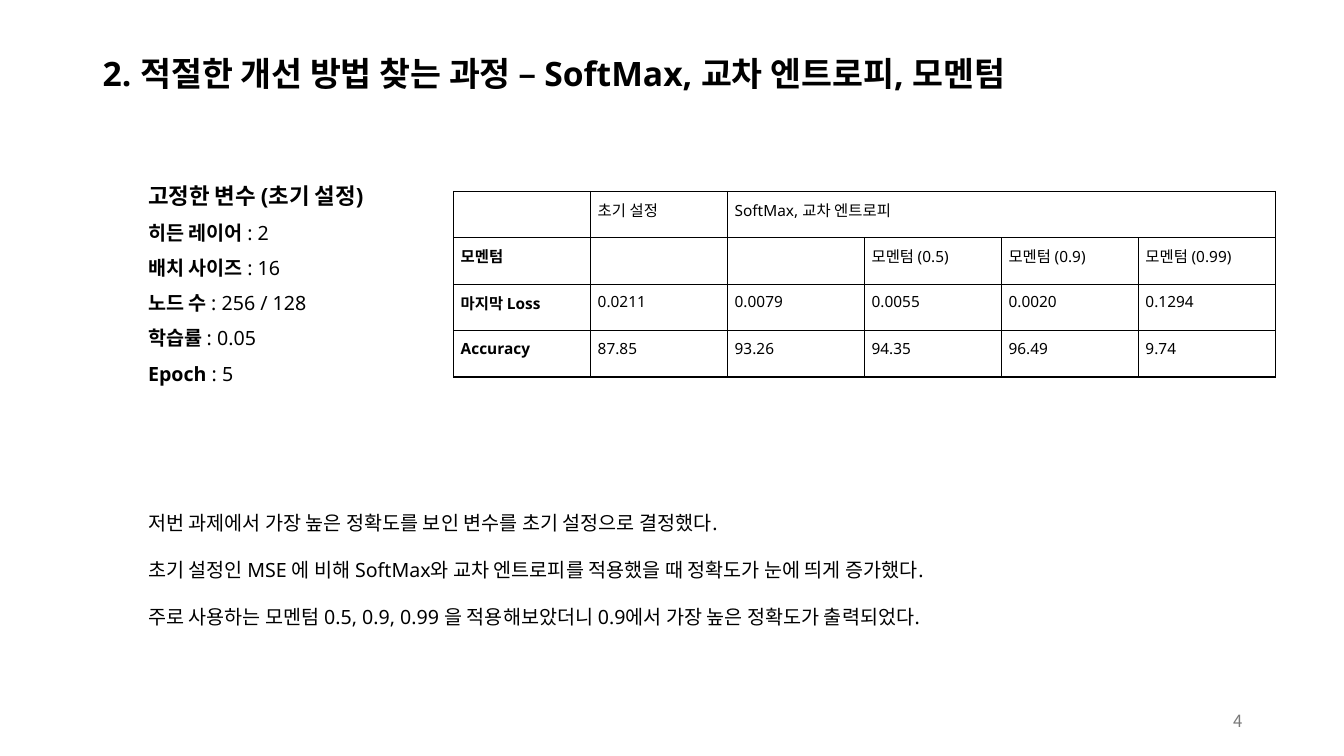
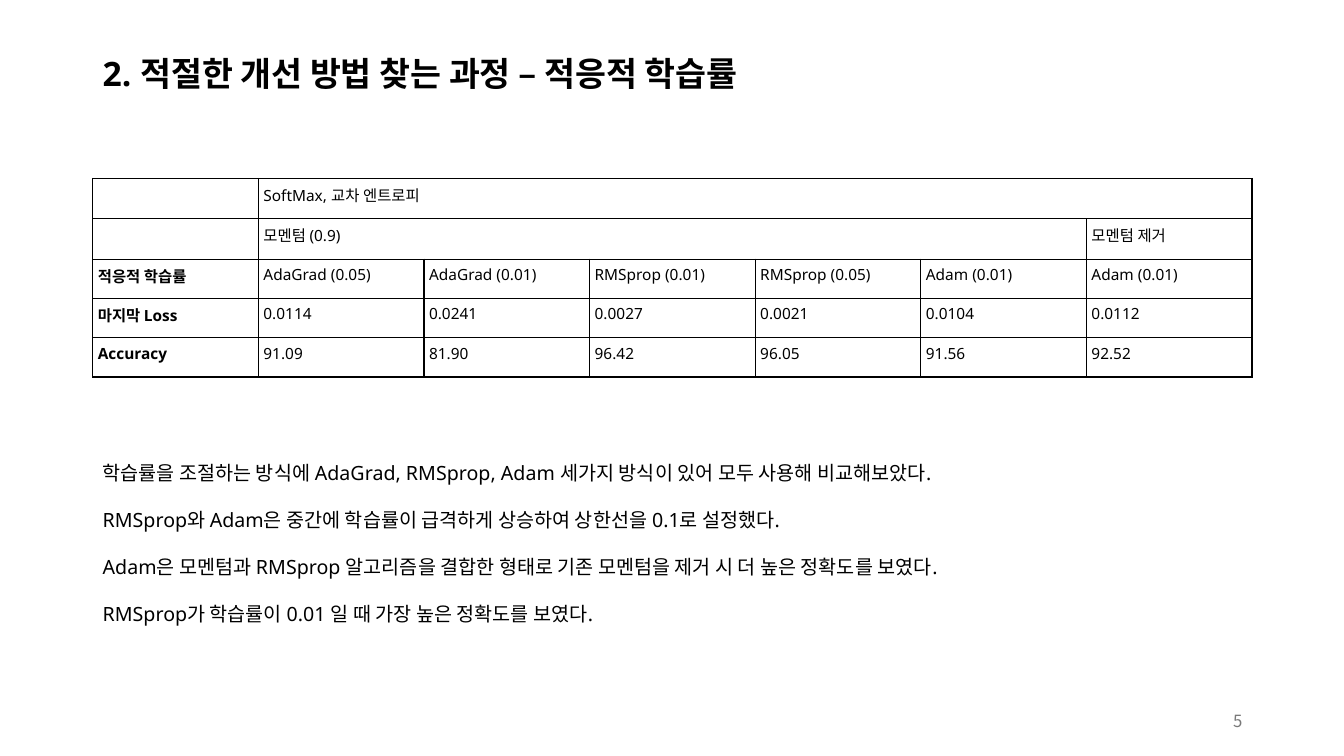
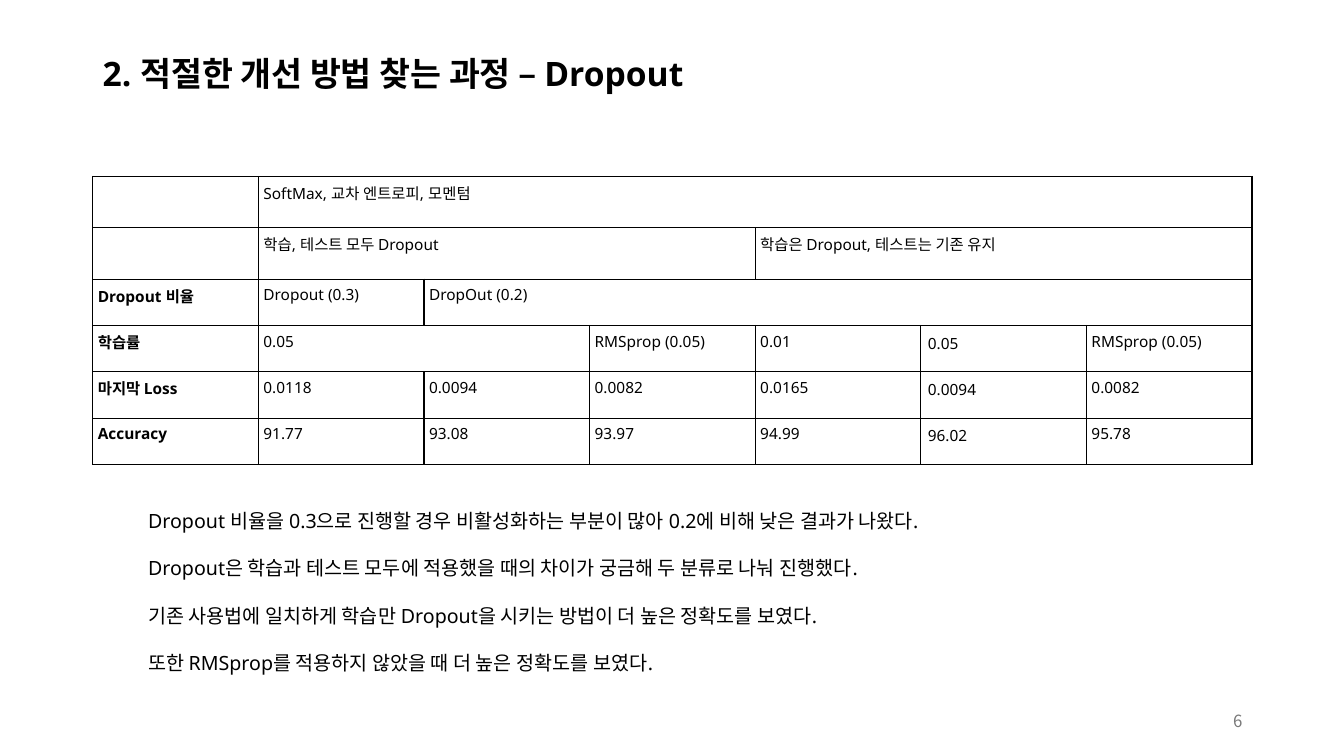
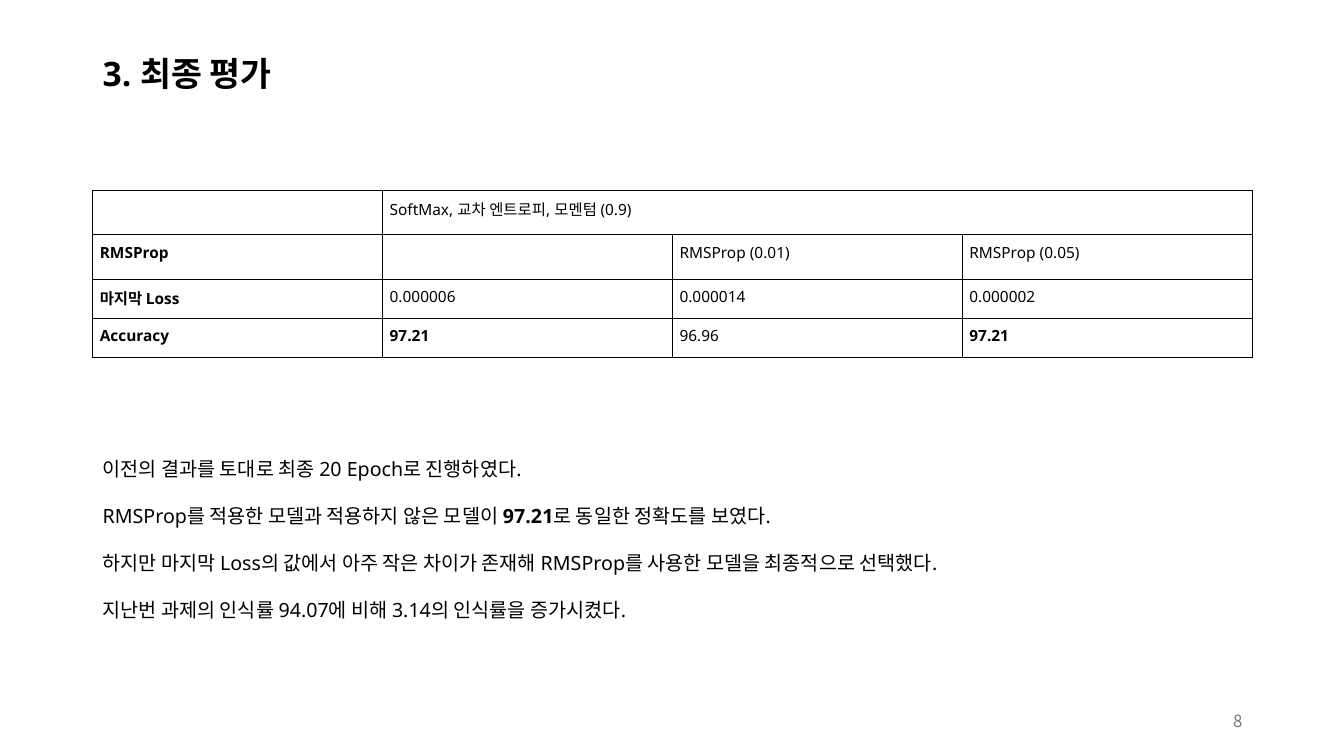
from lxml import etree
from pptx import Presentation
from pptx.dml.color import RGBColor
from pptx.enum import shapes, text
from pptx.oxml import ns
from pptx.util import Inches, Pt

BLACK, WHITE, GREY = "000000", "FFFFFF", "797979"
FONT, NUMBER_FONT = "Noto Sans", "Noto Sans CJK KR"
LEFT, INDENTED = 0.92, 1.37


def color(hex_code):
    return RGBColor.from_string(hex_code)


def write(frame, lines, size=14, font=FONT, ink=BLACK, bold=False,
          align=text.PP_ALIGN.LEFT, spacing=None, gap=0):
    """Fill a frame, one paragraph a line; ** switches bold on and off."""
    frame.word_wrap = True
    frame.vertical_anchor = text.MSO_ANCHOR.MIDDLE
    for index, line in enumerate(lines):
        paragraph = frame.paragraphs[0] if index == 0 else frame.add_paragraph()
        paragraph.alignment = align
        paragraph.line_spacing = spacing
        paragraph.space_before = Pt(gap if index else 0)
        for part, words in enumerate(line.split("**")):
            if part and not words:
                continue
            run = paragraph.add_run()
            run.text = words
            run.font.size = Pt(size)
            run.font.name = font
            run.font.bold = bold or part % 2 == 1
            run.font.color.rgb = color(ink)


def draw_borders(cell):
    """Put a thin black line on all four sides of a table cell."""
    properties = cell._tc.get_or_add_tcPr()
    for index, side in enumerate(("lnL", "lnR", "lnT", "lnB")):
        line = etree.Element(ns.qn(f"a:{side}"), w=str(Pt(1)))
        fill = etree.SubElement(line, ns.qn("a:solidFill"))
        etree.SubElement(fill, ns.qn("a:srgbClr"), val=BLACK)
        properties.insert(index, line)


class Deck:
    def __init__(self):
        self.prs = Presentation()
        self.prs.slide_width, self.prs.slide_height = Inches(13.33), Inches(7.5)
        self.slide = None

    def new_slide(self, title, number):
        self.slide = self.prs.slides.add_slide(self.prs.slide_layouts[6])
        self.label([title], LEFT, 0.4, 11.5, 0.69, size=24, bold=True, spacing=0.9)
        self.label([number], 9.42, 6.95, 3, 0.4, size=12, font=NUMBER_FONT,
                   ink=GREY, align=text.PP_ALIGN.RIGHT)

    def label(self, lines, *place, **style):
        box = self.slide.shapes.add_textbox(*map(Inches, place))
        write(box.text_frame, lines, **style)

    def panel(self, lines, *place, **style):
        """Add a white rectangle with text."""
        box = self.slide.shapes.add_shape(shapes.MSO_SHAPE.RECTANGLE,
                                          *map(Inches, place))
        box.shadow.inherit = False
        box.fill.solid()
        box.fill.fore_color.rgb = color(WHITE)
        box.line.fill.background()
        write(box.text_frame, lines, **style)

    def findings(self, lines, left, top, height):
        self.panel(lines, left, top, 10.31, height, gap=16.8)

    def settings(self, heading, lines, left, top, width, height):
        """Add a list under a larger bold heading."""
        self.panel([f"**{heading}**"] + lines, left, top, width, height, spacing=1.5)
        frame = self.slide.shapes[-1].text_frame
        for run in frame.paragraphs[0].runs:
            run.font.size = Pt(16)

    def table(self, rows, left, top, width, heights, inset=0.07, wide_insets=None):
        """Add a grid; None joins a cell to the one on its left."""
        columns = len(rows[0])
        grid = self.slide.shapes.add_table(
            len(rows), columns, Inches(left), Inches(top), Inches(width),
            Inches(sum(heights))).table
        grid.first_row = grid.horz_banding = False
        for column in grid.columns:
            column.width = Inches(width / columns)
        for r, values in enumerate(rows):
            grid.rows[r].height = Inches(heights[r])
            for c, value in enumerate(values):
                cell = grid.cell(r, c)
                cell.fill.background()
                draw_borders(cell)
                if value is None:
                    continue
                end = c + 1
                while end < columns and values[end] is None:
                    end += 1
                if end > c + 1:
                    cell.merge(grid.cell(r, end - 1))
                margin = 0.07 if (r, c) in (wide_insets or ()) else inset
                cell.margin_left = cell.margin_right = Inches(margin)
                cell.margin_top = cell.margin_bottom = Inches(margin)
                write(cell.text_frame, [value], size=11, bold=c == 0)
                cell.vertical_anchor = text.MSO_ANCHOR.TOP


def momentum_slide(deck):
    deck.new_slide("2. 적절한 개선 방법 찾는 과정 – SoftMax, 교차 엔트로피, 모멘텀", "4")
    deck.settings("고정한 변수 (초기 설정)", [
        "**히든 레이어 **: 2",
        "**배치 사이즈 **: 16",
        "**노드 수 **: 256 / 128",
        "**학습률 **: 0.05",
        "**Epoch** : 5",
    ], INDENTED, 1.55, 2.83, 2.39)
    deck.findings([
        "저번 과제에서 가장 높은 정확도를 보인 변수를 초기 설정으로 결정했다.",
        "초기 설정인 MSE 에 비해 SoftMax와 교차 엔트로피를 적용했을 때 정확도가 눈에 띄게 증가했다.",
        "주로 사용하는 모멘텀 0.5, 0.9, 0.99 을 적용해보았더니 0.9에서 가장 높은 정확도가 출력되었다.",
    ], INDENTED, 4.79, 1.73)
    deck.table([
        ["", "초기 설정", "SoftMax, 교차 엔트로피", None, None, None],
        ["모멘텀", "", "", "모멘텀 (0.5)", "모멘텀 (0.9)", "모멘텀 (0.99)"],
        ["마지막 Loss", "0.0211", "0.0079", "0.0055", "0.0020", "0.1294"],
        ["Accuracy", "87.85", "93.26", "94.35", "96.49", "9.74"],
    ], 4.5, 1.9, 8.15, [0.46] * 4)


def learning_rate_slide(deck):
    deck.new_slide("2. 적절한 개선 방법 찾는 과정 – 적응적 학습률", "5")
    deck.findings([
        "학습률을 조절하는 방식에 AdaGrad, RMSprop, Adam 세가지 방식이 있어 모두 사용해 비교해보았다.",
        "RMSprop와 Adam은 중간에 학습률이 급격하게 상승하여 상한선을 0.1로 설정했다.",
        "Adam은 모멘텀과 RMSprop 알고리즘을 결합한 형태로 기존 모멘텀을 제거 시 더 높은 정확도를 보였다.",
        "RMSprop가 학습률이 0.01 일 때 가장 높은 정확도를 보였다.",
    ], LEFT, 4.39, 1.99)
    deck.table([
        ["", "SoftMax, 교차 엔트로피", None, None, None, None, None],
        ["", "모멘텀 (0.9)", None, None, None, None, "모멘텀 제거"],
        ["적응적 학습률", "AdaGrad (0.05)", "AdaGrad (0.01)", "RMSprop (0.01)",
         "RMSprop (0.05)", "Adam (0.01)", "Adam (0.01)"],
        ["마지막 Loss", "0.0114", "0.0241", "0.0027", "0.0021", "0.0104", "0.0112"],
        ["Accuracy", "91.09", "81.90", "96.42", "96.05", "91.56", "92.52"],
    ], LEFT, 1.77, 11.5, [0.39] * 5, inset=0.05)


def dropout_slide(deck):
    deck.new_slide("2. 적절한 개선 방법 찾는 과정 – Dropout", "6")
    deck.findings([
        "Dropout 비율을 0.3으로 진행할 경우 비활성화하는 부분이 많아 0.2에 비해 낮은 결과가 나왔다.",
        "Dropout은 학습과 테스트 모두에 적용했을 때의 차이가 궁금해 두 분류로 나눠 진행했다.",
        "기존 사용법에 일치하게 학습만 Dropout을 시키는 방법이 더 높은 정확도를 보였다.",
        "또한 RMSprop를 적용하지 않았을 때 더 높은 정확도를 보였다.",
    ], INDENTED, 4.79, 2.16)
    deck.table([
        ["", "SoftMax, 교차 엔트로피, 모멘텀", None, None, None, None, None],
        ["", "학습, 테스트 모두 Dropout", None, None,
         "학습은 Dropout, 테스트는 기존 유지", None, None],
        ["Dropout 비율", "Dropout (0.3)", "DropOut (0.2)", None, None, None, None],
        ["학습률", "0.05", None, "RMSprop (0.05)", "0.01", "0.05", "RMSprop (0.05)"],
        ["마지막 Loss", "0.0118", "0.0094", "0.0082", "0.0165", "0.0094", "0.0082"],
        ["Accuracy", "91.77", "93.08", "93.97", "94.99", "96.02", "95.78"],
    ], LEFT, 1.75, 11.5, [0.51] * 2 + [0.46] * 4, inset=0.05,
        wide_insets=[(row, 5) for row in (3, 4, 5)])


def evaluation_slide(deck):
    deck.new_slide("3. 최종 평가", "8")
    deck.findings([
        "이전의 결과를 토대로 최종 20 Epoch로 진행하였다.",
        "RMSProp를 적용한 모델과 적용하지 않은 모델이 **97.21**로 동일한 정확도를 보였다.",
        "하지만 마지막 Loss의 값에서 아주 작은 차이가 존재해 RMSProp를 사용한 모델을 최종적으로 선택했다.",
        "지난번 과제의 인식률 94.07에 비해 3.14의 인식률을 증가시켰다.",
    ], LEFT, 4.27, 2.16)
    deck.table([
        ["", "SoftMax, 교차 엔트로피, 모멘텀 (0.9)", None, None],
        ["RMSProp", "", "RMSProp (0.01)", "RMSProp (0.05)"],
        ["마지막 Loss", "0.000006", "0.000014", "0.000002"],
        ["Accuracy", "**97.21**", "96.96", "**97.21**"],
    ], LEFT, 1.89, 11.5, [0.39] * 4)


def main():
    deck = Deck()
    for build in (momentum_slide, learning_rate_slide, dropout_slide, evaluation_slide):
        build(deck)
    deck.prs.save("out.pptx")


if __name__ == "__main__":
    main()
